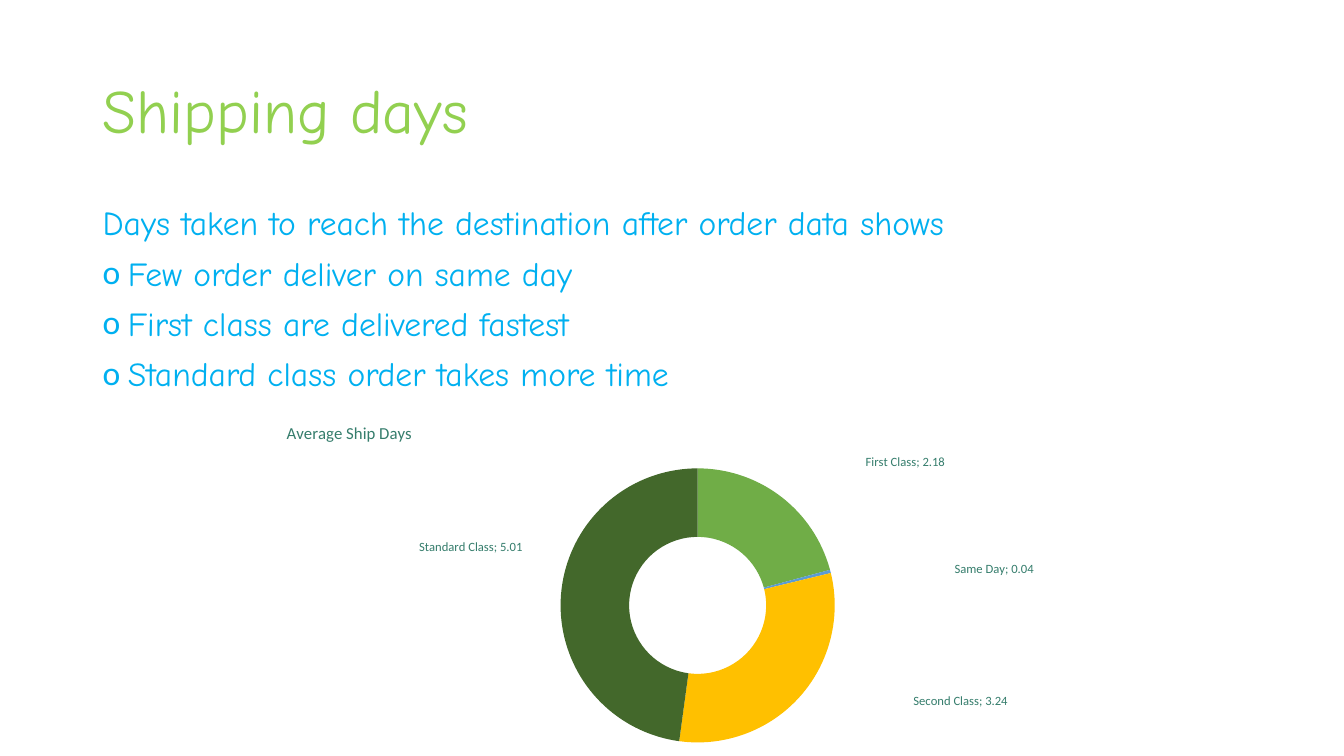
from copy import deepcopy

from pptx import Presentation
from pptx.chart.data import CategoryChartData
from pptx.dml.color import RGBColor
from pptx.enum.chart import XL_CHART_TYPE as ChartType
from pptx.enum.text import MSO_ANCHOR as Anchor
from pptx.oxml import parse_xml
from pptx.oxml.ns import nsdecls
from pptx.util import Inches, Pt

COLORS = {
    "title": "92D050", "body": "00B0F0", "chart": "357D6C",
    "First Class": "70AD47", "Same Day": "5B9BD5",
    "Second Class": "FFC000", "Standard Class": "43682B",
}
# ship class: average days, then label offset as shares of the chart
SHIP_DAYS = {
    "First Class": (2.18, 0.14, -0.18),
    "Same Day": (0.04, 0.19, -0.03),
    "Second Class": (3.24, 0.18, 0.08),
    "Standard Class": (5.01, -0.12, -0.15),
}
FINDINGS = [
    "Few order deliver on same day",
    "First class are delivered fastest",
    "Standard class order takes more time",
]


def format_font(font, name="Comic Neue", size=24, color="body"):
    font.name, font.size, font.bold = name, Pt(size), False
    font.color.rgb = RGBColor.from_string(COLORS[color])


def add_bullet(para, mark="o", indent=0.25):
    props = para._p.get_or_add_pPr()
    props.set("marL", str(Inches(indent)))
    props.set("indent", str(-Inches(indent)))
    props.append(parse_xml(f'<a:buFont {nsdecls("a")} typeface="Calibri"/>'))
    props.append(parse_xml(f'<a:buChar {nsdecls("a")} char="{mark}"/>'))


def set_layout(parent, index, modes="", **shares):
    """Give a chart part a manual layout in shares of the chart's size."""
    for old in parent.xpath("c:layout"):
        parent.remove(old)
    values = "".join(f'<c:{key} val="{share}"/>' for key, share in shares.items())
    parent.insert(index, parse_xml(
        f'<c:layout {nsdecls("c")}><c:manualLayout>{modes}{values}'
        "</c:manualLayout></c:layout>"))


class SlideBuilder:
    edge = '<c:xMode val="edge"/><c:yMode val="edge"/>'

    def __init__(self, deck):
        self.width, self.height = deck.slide_width, deck.slide_height
        self.page = deck.slides.add_slide(deck.slide_layouts[6])

    def frame(self, left, top, width, height):
        """Turn shares of the slide into lengths."""
        return (int(left * self.width), int(top * self.height),
                int(width * self.width), int(height * self.height))

    def text(self, lines, place, anchor=Anchor.TOP, before=0, bullets_from=None, **style):
        box = self.page.shapes.add_textbox(*self.frame(*place)).text_frame
        box.word_wrap, box.vertical_anchor = True, anchor
        for number, line in enumerate(lines):
            para = box.add_paragraph() if number else box.paragraphs[0]
            para.line_spacing, para.space_before = 0.9, Pt(before)
            if bullets_from is not None and number >= bullets_from:
                add_bullet(para)
            span = para.add_run()
            span.text = line
            format_font(span.font, **style)

    def doughnut(self, title, place):
        data = CategoryChartData(number_format="0.00")
        data.categories = list(SHIP_DAYS)
        data.add_series("Series 1", [days for days, *_ in SHIP_DAYS.values()])
        chart = self.page.shapes.add_chart(
            ChartType.DOUGHNUT, *self.frame(*place), data).chart
        chart.has_legend = False
        format_font(chart.font, "Calibri", 10, "chart")

        heading = chart.chart_title.text_frame
        heading.text = title
        format_font(heading.paragraphs[0].runs[0].font, "Calibri", 12, "chart")
        set_layout(chart.element.xpath(".//c:title")[0], 1, self.edge, x=0.1, y=0.02)
        set_layout(chart.element.xpath(".//c:plotArea")[0], 0,
                   '<c:layoutTarget val="inner"/>' + self.edge,
                   x=0.367, y=0.164, w=0.265, h=0.797)

        plot = chart.plots[0]
        plot.vary_by_categories = True
        series = plot.series[0]
        for number, name in enumerate(SHIP_DAYS):
            slice_format = series.points[number].format
            slice_format.fill.solid()
            slice_format.fill.fore_color.rgb = RGBColor.from_string(COLORS[name])
            slice_format.line.fill.background()
        self.slice_labels(chart, series.data_labels)

    def slice_labels(self, chart, labels):
        labels.show_value = labels.show_category_name = True
        labels.show_percentage = labels.show_legend_key = False
        labels.number_format, labels.number_format_is_linked = "0.00", False
        format_font(labels.font, "Calibri", 9, "chart")
        group = chart.element.xpath(".//c:ser/c:dLbls")[0]
        for leader in group.xpath("c:showLeaderLines"):
            leader.set("val", "0")
        shared = [part for part in group if not part.tag.endswith("LeaderLines")]
        for number, (_, across, down) in enumerate(SHIP_DAYS.values()):
            label = parse_xml(f'<c:dLbl {nsdecls("c")}><c:idx val="{number}"/></c:dLbl>')
            set_layout(label, 1, x=across, y=down)
            label.extend(deepcopy(part) for part in shared)
            label.append(parse_xml(f'<c:separator {nsdecls("c")}>; </c:separator>'))
            group.insert(number, label)


def main():
    deck = Presentation()
    deck.slide_width, deck.slide_height = Inches(13.33), Inches(7.5)
    builder = SlideBuilder(deck)
    builder.text(["Shipping days"], (0.069, 0.053, 0.863, 0.193),
                 anchor=Anchor.MIDDLE, size=44, color="title")
    builder.text(["Days taken to reach the destination after order data shows", *FINDINGS],
                 (0.069, 0.267, 0.863, 0.635), before=10, bullets_from=1)
    builder.doughnut("Average Ship Days", (0.134, 0.545, 0.771, 0.455))
    deck.save("out.pptx")


if __name__ == "__main__":
    main()
